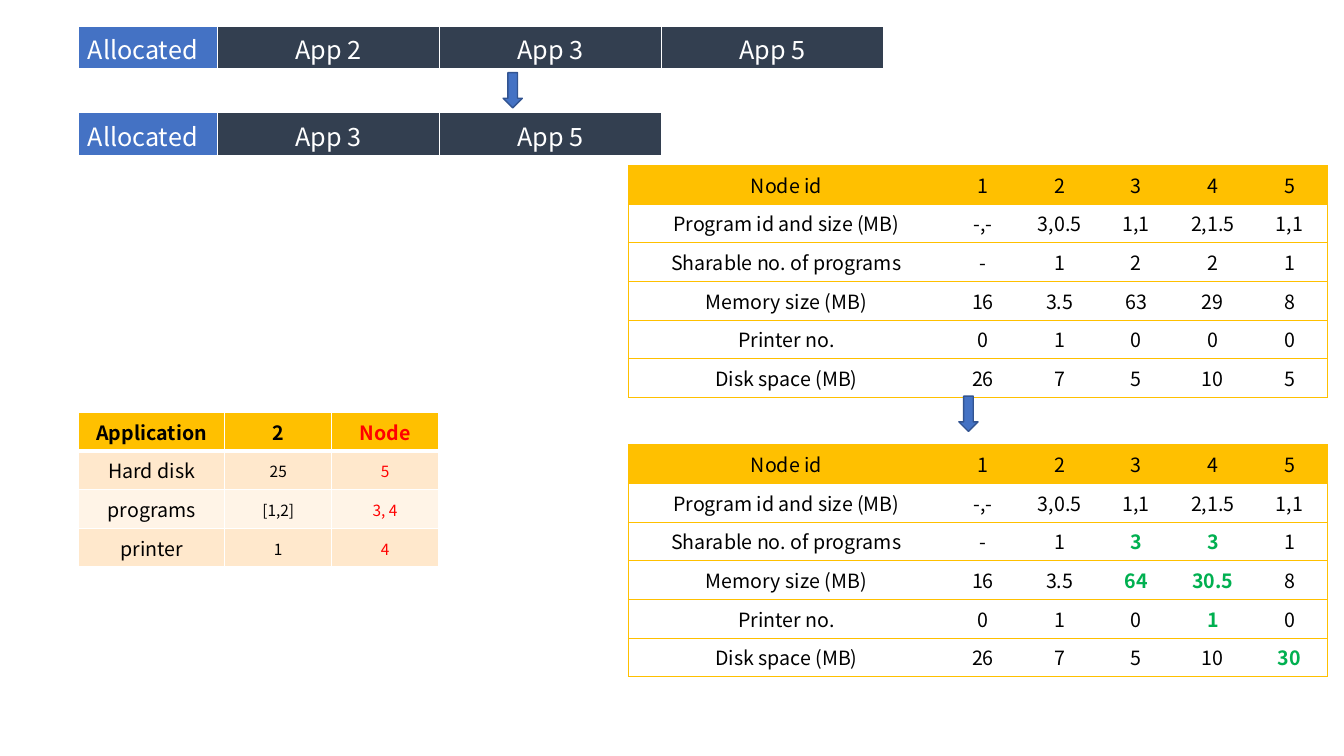
import pptx
import pptx.dml.color
import pptx.enum.shapes
import pptx.enum.text
import pptx.util
import lxml.etree

Inches = pptx.util.Inches
RGBColor = pptx.dml.color.RGBColor
Align = pptx.enum.text.PP_ALIGN
Anchor = pptx.enum.text.MSO_ANCHOR

FONT = "Noto Sans CJK JP"
BLANK = "{2D5ABB26-0587-4C30-8999-92F81FD0307C}"
WHITE = RGBColor(0xFF, 0xFF, 0xFF)
BLACK = RGBColor(0x00, 0x00, 0x00)
BLUE = RGBColor(0x44, 0x72, 0xC4)
NAVY = RGBColor(0x32, 0x54, 0x91)
SLATE = RGBColor(0x33, 0x3F, 0x50)
GOLD = RGBColor(0xFF, 0xC0, 0x00)
PEACH = RGBColor(0xFF, 0xE8, 0xCC)
CREAM = RGBColor(0xFF, 0xF4, 0xE7)
RED = RGBColor(0xFF, 0x00, 0x00)
GREEN = RGBColor(0x00, 0xB0, 0x50)

WIDE = (0.1, 0.05, 0.1, 0.05)
SLIM = (0.09, 0.04, 0.09, 0.03)
TIGHT = (0.01, 0.01, 0.01, 0)

NODES = [
    ["Node id", "1", "2", "3", "4", "5"],
    ["Program id and size (MB)", "-,-", "3,0.5", "1,1", "2,1.5", "1,1"],
    ["Sharable no. of programs", "-", "1", "2", "2", "1"],
    ["Memory size (MB)", "16", "3.5", "63", "29", "8"],
    ["Printer no.", "0", "1", "0", "0", "0"],
    ["Disk space (MB)", "26", "7", "5", "10", "5"],
]
FREED = {(2, 3): "3", (2, 4): "3", (3, 3): "64", (3, 4): "30.5",
         (4, 4): "1", (5, 5): "30"}
NEEDS = [
    ["Application", "2", "Node"],
    ["Hard disk", "25", "5"],
    ["programs", "[1,2]", "3, 4"],
    ["printer", "1", "4"],
]


def write(cell, text, size=14, color=BLACK, bold=False, align=Align.CENTER,
          anchor=Anchor.TOP, inset=WIDE):
    left, top, right, base = map(Inches, inset)
    cell.margin_left, cell.margin_top = left, top
    cell.margin_right, cell.margin_bottom = right, base
    cell.vertical_anchor = anchor
    para = cell.text_frame.paragraphs[0]
    para.alignment = align
    run = para.add_run()
    run.text = text
    run.font.name = FONT
    run.font.size = pptx.util.Pt(size)
    run.font.bold = bold
    run.font.color.rgb = color


def border(cell, color, **sides):
    props = cell._tc.get_or_add_tcPr()
    for side in "LRTB":
        if side in sides:
            line = lxml.etree.SubElement(props, pptx.oxml.ns.qn("a:ln" + side))
            line.set("w", str(pptx.util.Pt(sides[side])))
            solid = lxml.etree.SubElement(line, pptx.oxml.ns.qn("a:solidFill"))
            tint = lxml.etree.SubElement(solid, pptx.oxml.ns.qn("a:srgbClr"))
            tint.set("val", str(color))


def paint(cell, color):
    cell.fill.solid()
    cell.fill.fore_color.rgb = color


def grid(slide, left, top, cols, count, height):
    frame = slide.shapes.add_table(
        count, len(cols), Inches(left), Inches(top),
        Inches(sum(cols)), Inches(count * height))
    table = frame.table
    table._tbl.tblPr.find(pptx.oxml.ns.qn("a:tableStyleId")).text = BLANK
    for col, width in zip(table.columns, cols):
        col.width = Inches(width)
    for row in table.rows:
        row.height = Inches(height)
    return table


def strip(slide, left, top, apps):
    table = grid(slide, left, top, [1.38] + [2.2] * len(apps), 1, 0.41)
    for col, text in enumerate(["Allocated"] + apps):
        cell = table.cell(0, col)
        write(cell, text, size=18, color=WHITE, inset=SLIM,
              align=Align.CENTER if col else Align.LEFT)
        border(cell, WHITE, L=1, R=1, T=1, B=3)
        paint(cell, SLATE if col else BLUE)


def needs(slide, left, top):
    table = grid(slide, left, top, [1.45, 1.06, 1.06], len(NEEDS), 0.36)
    for row, texts in enumerate(NEEDS):
        for col, text in enumerate(texts):
            cell = table.cell(row, col)
            small = row > 0 and col > 0
            write(cell, text, size=11 if small else 14, bold=row == 0,
                  color=RED if col == 2 else BLACK, anchor=Anchor.MIDDLE,
                  inset=TIGHT if small else WIDE)
            border(cell, WHITE, L=1, R=1, T=3 if row == 1 else 1,
                   B=1 if row else 3)
            paint(cell, [GOLD, PEACH, CREAM, PEACH][row])


def nodes(slide, left, top, freed):
    table = grid(slide, left, top, [3.14] + [0.76] * 5, len(NODES), 0.37)
    for row, texts in enumerate(NODES):
        for col, text in enumerate(texts):
            cell = table.cell(row, col)
            new = (row, col) in freed
            write(cell, freed.get((row, col), text), bold=new,
                  color=GREEN if new else BLACK)
            sides = {"T": 0.5, "B": 0.5}
            if col == 0:
                sides["L"] = 0.5
            if col == len(texts) - 1:
                sides["R"] = 0.5
            border(cell, GOLD, **sides)
            if row == 0:
                paint(cell, GOLD)


def arrow(slide, left, top):
    shape = slide.shapes.add_shape(
        pptx.enum.shapes.MSO_SHAPE.DOWN_ARROW,
        Inches(left), Inches(top), Inches(0.19), Inches(0.35))
    shape.shadow.inherit = False
    shape.fill.solid()
    shape.fill.fore_color.rgb = BLUE
    shape.line.color.rgb = NAVY
    shape.line.width = pptx.util.Pt(1)


def main():
    deck = pptx.Presentation()
    deck.slide_width = Inches(13.33)
    deck.slide_height = Inches(7.5)
    slide = deck.slides.add_slide(deck.slide_layouts[6])
    strip(slide, 0.78, 0.26, ["App 2", "App 3", "App 5"])
    arrow(slide, 4.99, 0.72)
    strip(slide, 0.78, 1.12, ["App 3", "App 5"])
    needs(slide, 0.78, 4.09)
    nodes(slide, 6.23, 4.41, FREED)
    nodes(slide, 6.23, 1.64, {})
    arrow(slide, 9.51, 3.93)
    deck.save("out.pptx")


if __name__ == "__main__":
    main()
